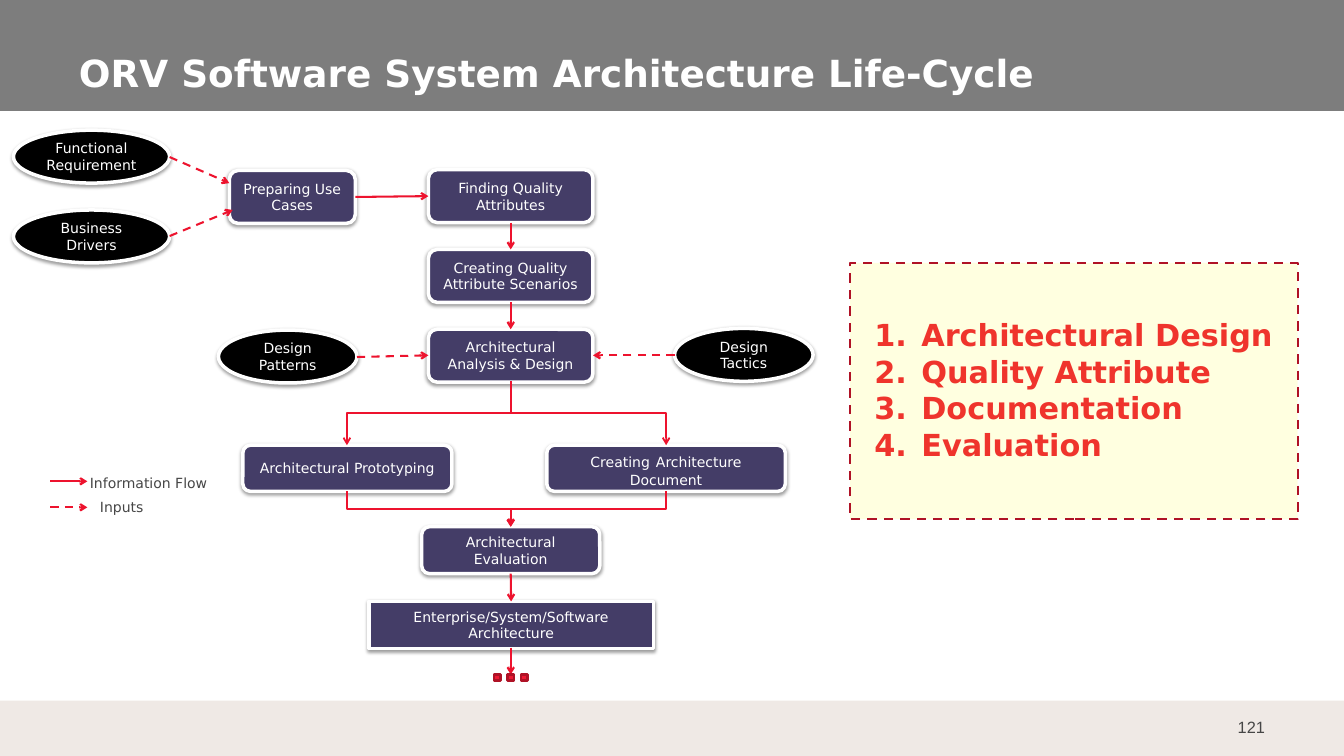
import pptx
import pptx.dml.color
import pptx.enum.dml
import pptx.enum.shapes
import pptx.enum.text
import pptx.oxml.ns
import pptx.util
import lxml.etree
from dataclasses import dataclass

Inches = pptx.util.Inches
Pt = pptx.util.Pt
qn = pptx.oxml.ns.qn
SHAPE = pptx.enum.shapes.MSO_SHAPE
CONNECTOR = pptx.enum.shapes.MSO_CONNECTOR
ALIGN = pptx.enum.text.PP_ALIGN
ANCHOR = pptx.enum.text.MSO_ANCHOR
DASH = pptx.enum.dml.MSO_LINE.DASH
SPINE_X = 6.08


@dataclass(frozen=True)
class Theme:
    font: str = "DejaVu Sans"
    number_font: str = "Arial"
    white: str = "FFFFFF"
    header: str = "7D7D7D"
    footer: str = "EFE9E5"
    body: str = "464646"
    step: str = "443D67"
    source: str = "000000"
    arrow: str = "ED132E"
    accent: str = "ED1933"
    border: str = "AF1226"
    panel: str = "FFFF00"
    title_size: float = 32
    list_size: float = 26
    wide_space: float = 16
    number_size: float = 14
    label_size: float = 12


THEME = Theme()


def rgb(value):
    return pptx.dml.color.RGBColor.from_string(value)


def add_xml(parent, tag, **attributes):
    values = {name: str(value) for name, value in attributes.items()}
    return lxml.etree.SubElement(parent, qn(tag), values)


def format_frame(frame, inset=(0.1, 0.05), wrap=True, anchor=ANCHOR.MIDDLE):
    across, down = (Inches(side) for side in inset)
    values = {"margin_left": across, "margin_right": across, "margin_top": down,
              "margin_bottom": down, "word_wrap": wrap, "vertical_anchor": anchor}
    for name, value in values.items():
        setattr(frame, name, value)


def write_run(paragraph, text, size, color, font=THEME.font, bold=False):
    run = paragraph.add_run()
    run.text = text
    for name, value in {"size": Pt(size), "name": font, "bold": bold}.items():
        setattr(run.font, name, value)
    run.font.color.rgb = rgb(color)


def write_lines(frame, lines, size, color, align=ALIGN.LEFT, **style):
    for index, line in enumerate(lines):
        paragraph = frame.paragraphs[0] if index == 0 else frame.add_paragraph()
        paragraph.alignment = align
        write_run(paragraph, line, size, color, **style)


def add_block(slide, box, fill, line=None, width=2, kind=SHAPE.RECTANGLE):
    block = slide.shapes.add_shape(kind, *map(Inches, box))
    block.shadow.inherit = False
    block.fill.solid()
    block.fill.fore_color.rgb = rgb(fill)
    if line:
        block.line.color.rgb = rgb(line)
        block.line.width = Pt(width)
    else:
        block.line.fill.background()
    return block


def add_node(slide, box, lines, kind=SHAPE.ROUNDED_RECTANGLE):
    """Add a flow node: an ellipse is an input, anything else is a step."""
    fill = THEME.source if kind == SHAPE.OVAL else THEME.step
    node = add_block(slide, box, fill, THEME.white, 3, kind)
    effects = node.element.spPr.find(qn("a:effectLst"))
    shadow = add_xml(effects, "a:outerShdw", blurRad=Pt(3.1), dist=Pt(1.6),
                     dir=90 * 60000, rotWithShape=0)
    add_xml(add_xml(shadow, "a:srgbClr", val="000000"), "a:alpha", val=38000)
    format_frame(node.text_frame)
    write_lines(node.text_frame, lines, THEME.label_size, THEME.white, ALIGN.CENTER)
    return node


def add_arrow(slide, start, end, width=1.75, dashed=False, kind=CONNECTOR.STRAIGHT):
    arrow = slide.shapes.add_connector(kind, *map(Inches, (*start, *end)))
    arrow.line.color.rgb = rgb(THEME.arrow)
    arrow.line.width = Pt(width)
    if dashed:
        arrow.line.dash_style = DASH
    properties = arrow.element.spPr
    add_xml(properties.find(qn("a:ln")), "a:tailEnd", type="arrow")
    add_xml(properties, "a:effectLst")
    return arrow


def add_elbow(slide, start, end, width):
    """Add an arrow that runs down, across and down again."""
    (x1, y1), (x2, y2) = start, end
    mid_x, mid_y = (x1 + x2) / 2, (y1 + y2) / 2
    half_run, half_rise = abs(x2 - x1) / 2, (y2 - y1) / 2
    side = 1 if x2 < x1 else -1
    elbow = add_arrow(slide, (mid_x - side * half_rise, mid_y - half_run),
                      (mid_x + side * half_rise, mid_y + half_run), width,
                      kind=CONNECTOR.ELBOW)
    elbow.element.spPr.find(qn("a:xfrm")).set("rot", str((180 - 90 * side) * 60000))


def link(slide, origin, origin_site, target, target_site):
    """Glue a straight arrow between two steps (sites: 0 top, 1 left, 2 bottom, 3 right)."""
    arrow = add_arrow(slide, (0, 0), (1, 1))
    arrow.begin_connect(origin, origin_site)
    arrow.end_connect(target, target_site)


def add_label(slide, box, text, size, font=THEME.font, align=ALIGN.LEFT, **frame_values):
    label = slide.shapes.add_textbox(*map(Inches, box))
    format_frame(label.text_frame, **frame_values)
    write_lines(label.text_frame, [text], size, THEME.body, align, font=font)


def add_page(slide):
    add_block(slide, (-0.02, 0, 16.05, 1.32), THEME.header)
    add_block(slide, (0, 8.34, 16, 0.66), THEME.footer)
    add_label(slide, (14.4, 8.42, 0.8, 0.48), "121", THEME.number_size,
              THEME.number_font, ALIGN.RIGHT, inset=(0.14, 0.07))
    title = slide.shapes.title
    places = zip(("left", "top", "width", "height"), (0.8, 0.46, 14.21, 0.74))
    for name, value in places:
        setattr(title, name, Inches(value))
    format_frame(title.text_frame, (0.14, 0.07), anchor=ANCHOR.BOTTOM)
    write_lines(title.text_frame, ["ORV Software System Architecture Life-Cycle"],
                THEME.title_size, THEME.white, bold=True)
    slide.shapes.element.append(title.element)  # in front of the header band


def add_steps(slide):
    use_cases = add_node(slide, (2.73, 2.03, 1.5, 0.63), ["Preparing Use Cases"])
    quality_lines = [["Finding Quality Attributes"],
                     ["Creating Quality", "Attribute Scenarios"],
                     ["Architectural", "Analysis & Design"]]
    finding, scenarios, analysis = [
        add_node(slide, (5.1, 2.02 + 0.95 * row, 1.96, 0.63), lines)
        for row, lines in enumerate(quality_lines)]
    add_node(slide, (2.89, 5.3, 2.49, 0.55), ["Architectural Prototyping"])
    document = add_node(slide, (6.51, 5.3, 2.84, 0.55), ["Creating"])
    for word in ("Architecture", "Document"):
        paragraph = document.text_frame.paragraphs[0]
        write_run(paragraph, " ", THEME.wide_space, THEME.white)
        write_run(paragraph, word, THEME.label_size, THEME.white)
    evaluation = add_node(slide, (5.02, 6.27, 2.12, 0.56), ["Architectural Evaluation"])
    outcome = add_node(slide, (4.39, 7.16, 3.39, 0.56),
                       ["Enterprise/System/Software Architecture"])
    outcome.adjustments[0] = 0

    link(slide, use_cases, 3, finding, 1)
    for upper, lower in ((finding, scenarios), (scenarios, analysis), (evaluation, outcome)):
        link(slide, upper, 2, lower, 0)
    for branch_x in (4.13, 7.93):
        add_elbow(slide, (SPINE_X, 4.54), (branch_x, 5.3), 1.5)
        add_elbow(slide, (branch_x, 5.85), (SPINE_X, 6.27), 2)
    add_arrow(slide, (SPINE_X, 7.71), (SPINE_X, 8.03))
    for dot in range(3):
        add_block(slide, (5.88 + 0.16 * dot, 8.03, 0.08, 0.07), THEME.accent, THEME.border)


def add_inputs(slide):
    inputs = [
        ((0.16, 1.55, 1.86, 0.63), "Functional Requirement", (2.02, 1.87), (2.73, 2.18)),
        ((0.16, 2.5, 1.86, 0.63), "Business Drivers", (2.02, 2.81), (2.77, 2.5)),
        ((2.6, 3.93, 1.65, 0.63), "Design Patterns", (4.25, 4.25), (5.1, 4.23)),
        ((8.03, 3.91, 1.65, 0.63), "Design Tactics", (8.03, 4.23), (7.06, 4.23)),
    ]
    for box, text, start, end in inputs:
        add_node(slide, box, [text], SHAPE.OVAL)
        add_arrow(slide, start, end, dashed=True)


def add_legend(slide):
    entries = [("Information Flow", 1.07, 5.65, 5.73, False), ("Inputs", 1.19, 5.94, 6.04, True)]
    for text, left, top, arrow_y, dashed in entries:
        add_arrow(slide, (0.6, arrow_y), (1.04, arrow_y), dashed=dashed)
        add_label(slide, (left, top, 1.42, 0.24), text, THEME.label_size,
                  inset=(0, 0), wrap=False, anchor=ANCHOR.TOP)


def add_topics(slide):
    topics = slide.shapes.add_textbox(*map(Inches, (10.31, 3.72, 4.95, 1.85)))
    format_frame(topics.text_frame, wrap=False, anchor=ANCHOR.TOP)
    write_lines(topics.text_frame, ["Architectural Design", "Quality Attribute",
                                    "Documentation", "Evaluation"],
                THEME.list_size, THEME.accent, bold=True)
    for properties in topics.element.iter(qn("a:pPr")):
        properties.set("marL", str(Inches(0.56)))
        properties.set("indent", str(-Inches(0.56)))
        add_xml(properties, "a:buFont", typeface="+mj-lt")
        add_xml(properties, "a:buAutoNum", type="arabicPeriod")
    panel = add_block(slide, (10.12, 3.13, 5.33, 3.05), THEME.panel, THEME.border)
    panel.line.dash_style = DASH
    add_xml(panel.element.spPr.find(f"{qn('a:solidFill')}/{qn('a:srgbClr')}"),
            "a:alpha", val=12000)


def main():
    deck = pptx.Presentation()
    deck.slide_width, deck.slide_height = Inches(16), Inches(9)
    slide = deck.slides.add_slide(deck.slide_layouts.get_by_name("Title Only"))
    add_page(slide)
    add_steps(slide)
    add_inputs(slide)
    add_legend(slide)
    add_topics(slide)
    deck.save("out.pptx")


if __name__ == "__main__":
    main()
